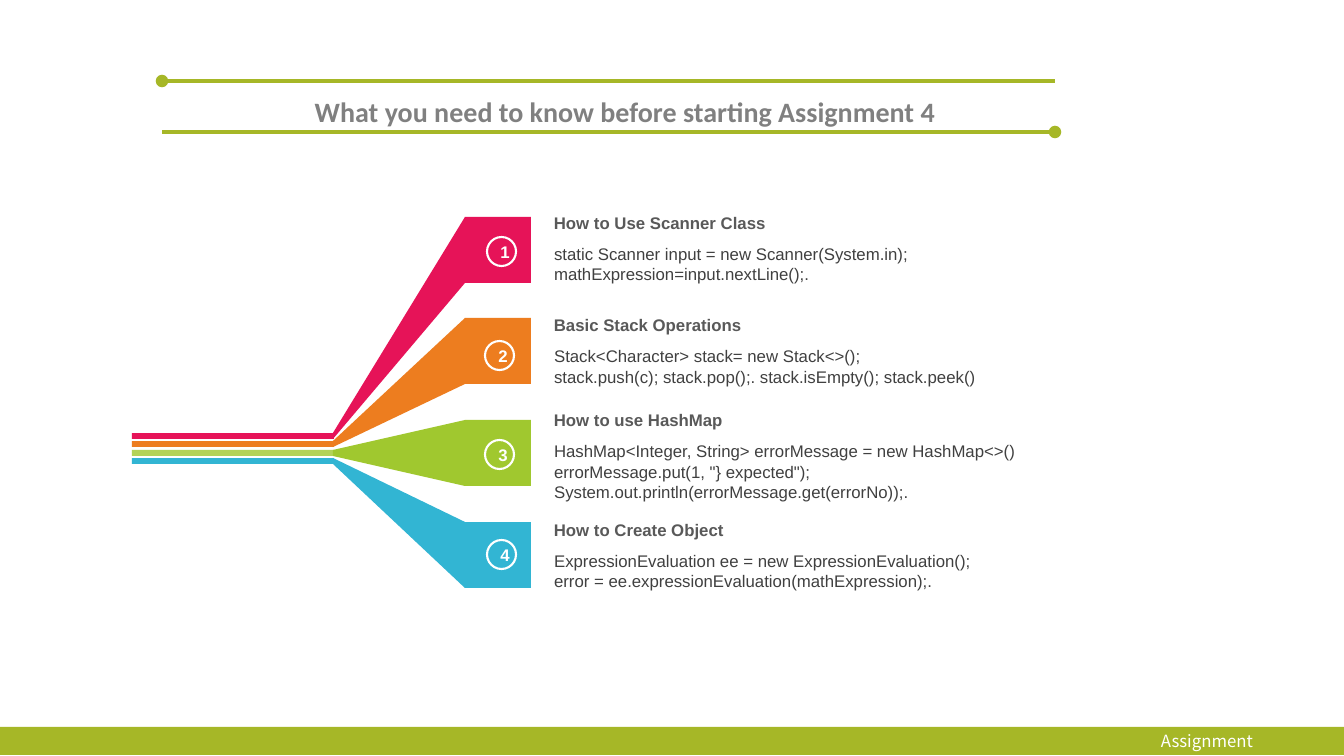
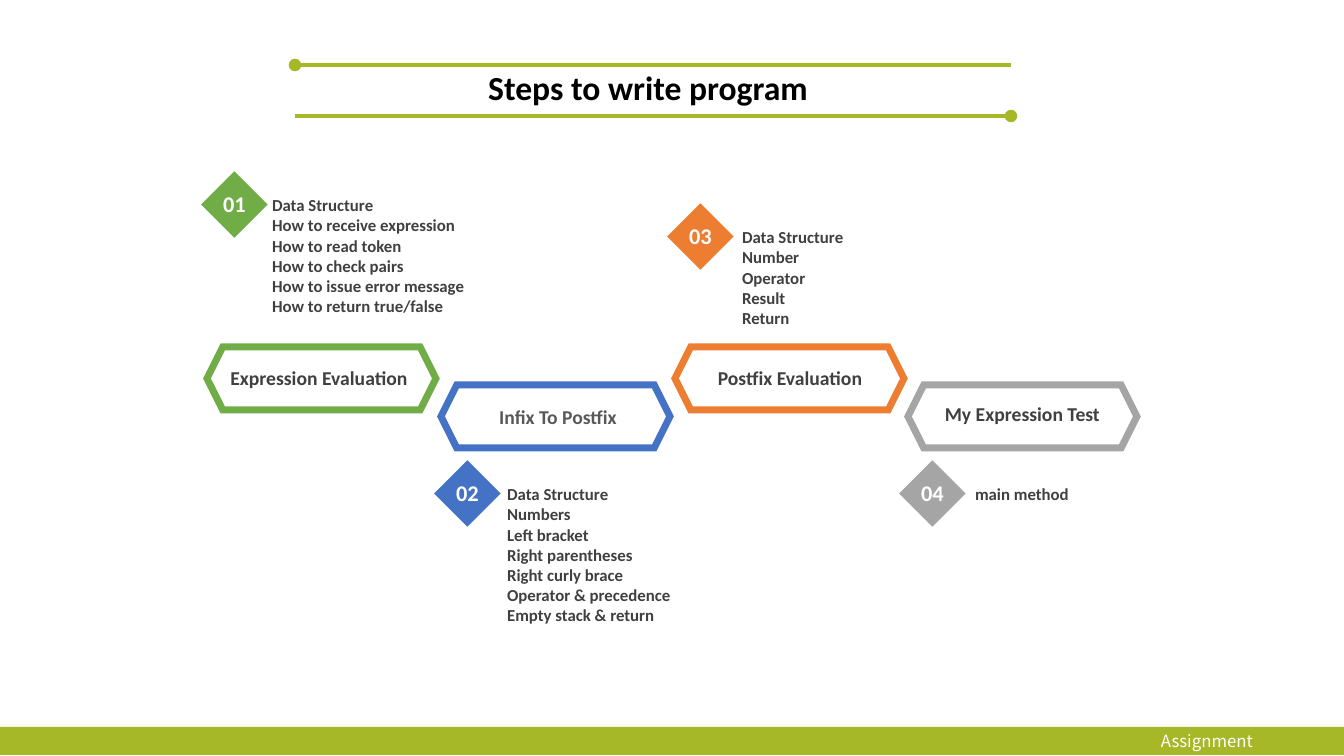
import pptx
import pptx.util
import pptx.dml.color
import pptx.enum.shapes
import pptx.enum.text
import pptx.oxml.ns
from lxml import etree

HUES = {
    "olive": "A6B727", "white": "FFFFFF", "black": "000000",
    "grey": "808080", "dark": "404040", "mid": "595959",
    "pink": "E61358", "amber": "ED7D1F", "lime": "A0C82F", "aqua": "32B5D3",
    "green": "70AD47", "blue": "4472C4", "orange": "ED7D31", "ash": "A5A5A5",
}
KIND = pptx.enum.shapes.MSO_SHAPE
ALIGN = pptx.enum.text.PP_ALIGN
ANCHOR = pptx.enum.text.MSO_ANCHOR
WIDE, HIGH = 1344, 756
SCALE = 914400 / 100.8
qn = pptx.oxml.ns.qn


def px(n):
    return pptx.util.Emu(int(n * SCALE))


def rgb(hue):
    return pptx.dml.color.RGBColor.from_string(HUES[hue])


def font(size, hue, name="Calibri", bold=True):
    return {"size": pptx.util.Pt(size), "name": name, "bold": bold, "hue": hue}


class Deck:
    def __init__(self):
        self.file = pptx.Presentation()
        self.file.slide_width, self.file.slide_height = px(WIDE), px(HIGH)
        self.page = None

    # Slide with band, footer, ruled title
    def start(self, title, style, box, rule, lead=1):
        self.page = self.file.slides.add_slide(self.file.slide_layouts[4])
        self.shape(KIND.RECTANGLE, (0, 727, WIDE, 28), "olive")
        self.label("Assignment", (1151, 726, 113, 30),
                   font(12, "white", "Noto Sans CJK KR", False), wrap=False)
        self.holder(0, title, box, style, ALIGN.CENTER, lead)
        left, right, top = rule
        self.line(right, left, top + 51)
        self.line(left, right, top)

    def words(self, frame, text, style, align=ALIGN.LEFT, lead=1, wrap=True,
              anchor=ANCHOR.TOP):
        frame.text = text
        look = {"word_wrap": wrap, "vertical_anchor": anchor,
                "auto_size": pptx.enum.text.MSO_AUTO_SIZE.NONE}
        for key, value in look.items():
            setattr(frame, key, value)
        gaps = {"alignment": align, "line_spacing": lead,
                "space_before": pptx.util.Pt(0), "space_after": pptx.util.Pt(0)}
        for para in frame.paragraphs:
            for key, value in gaps.items():
                setattr(para, key, value)
            for run in para.runs:
                for key, value in style.items():
                    if key == "hue":
                        run.font.color.rgb = rgb(value)
                    else:
                        setattr(run.font, key, value)

    def holder(self, index, text, box, style, align=ALIGN.LEFT, lead=1):
        item = self.page.placeholders[index]
        for key, value in zip(("left", "top", "width", "height"), box):
            setattr(item, key, px(value))
        self.words(item.text_frame, text, style, align, lead)
        for props in item.element.iter(qn("a:pPr")):
            props.set("marL", "0")
            props.set("indent", "0")
            etree.SubElement(props, qn("a:buNone"))

    def label(self, text, box, style, align=ALIGN.LEFT, wrap=True):
        item = self.page.shapes.add_textbox(*map(px, box))
        self.words(item.text_frame, text, style, align, wrap=wrap)

    def paint(self, item, fill=None, line=None, width=1):
        item.shadow.inherit = False
        if fill:
            item.fill.solid()
            item.fill.fore_color.rgb = rgb(fill)
        else:
            item.fill.background()
        if line:
            item.line.color.rgb = rgb(line)
            item.line.width = pptx.util.Pt(width)
            edge = item.element.spPr.find(qn("a:ln"))
            etree.SubElement(edge, qn("a:miter"), lim="800000")
        else:
            item.line.fill.background()

    def shape(self, kind, box, fill=None, line=None, width=1, turn=0, alpha=100):
        item = self.page.shapes.add_shape(kind, *map(px, box))
        self.paint(item, fill, line, width)
        item.rotation = turn
        if alpha < 100:
            tint = item.element.spPr.find(qn("a:solidFill"))[0]
            etree.SubElement(tint, qn("a:alpha"), val=str(alpha * 1000))
        return item

    def outline(self, points, fill):
        build = self.page.shapes.build_freeform(*points[0], scale=SCALE)
        build.add_line_segments(points[1:], close=True)
        self.paint(build.convert_to_shape(), fill)

    def line(self, start, end, y):
        rule = self.page.shapes.add_connector(
            pptx.enum.shapes.MSO_CONNECTOR.STRAIGHT,
            px(start), px(y), px(end), px(y))
        rule.line.color.rgb = rgb("olive")
        rule.line.width = pptx.util.Pt(3)
        props = rule.element.spPr
        etree.SubElement(props.find(qn("a:ln")), qn("a:headEnd"), type="oval")
        etree.SubElement(props, qn("a:effectLst"))

    # Stripe that fans out into a numbered block
    def branch(self, i, hue, spot, alpha):
        y, top, side = 433 + 17 * i // 2, 217 + 305 * i // 3, 66
        self.shape(KIND.RECTANGLE, (132, y, 202, 6), hue, alpha=alpha)
        self.shape(KIND.RECTANGLE, (465, top, side, side), hue)
        self.outline([(333, y), (465, top), (465, top + side), (333, y + 6)], hue)
        ring = self.shape(KIND.OVAL, (*spot, 29, 29), line="white", width=1.5)
        pads = {"margin_left": 7, "margin_right": 0,
                "margin_top": 0, "margin_bottom": 0}
        for key, value in pads.items():
            setattr(ring.text_frame, key, px(value))
        self.words(ring.text_frame, str(i + 1), font(12, "white", "Arial"),
                   ALIGN.CENTER, anchor=ANCHOR.MIDDLE)

    # Hexagon with its name, numbered diamond and list
    def step(self, i, name, hue, ink, hexa, tag, gem, area, points):
        self.shape(KIND.HEXAGON, (*hexa, 229, 63), "white", hue, 5)
        self.label(name, tag, font(14, ink), ALIGN.CENTER)
        x, y = gem
        self.shape(KIND.RECTANGLE, (x, y, 47, 47), hue, turn=315)
        self.label(f"{i:02}", (x, y + 4, 47, 37), font(16, "white"), ALIGN.CENTER)
        self.holder(i, "\n".join(points), area, font(12, "dark"))


deck = Deck()

# Slide 1: four topics
deck.start("What you need to know before starting Assignment 4",
           font(20, "grey"), (222, 73, 806, 55), (162, 1055, 81), 1.5)
TOPICS = [
    ("How to Use Scanner Class", "pink", (487, 237), 208, 100,
     "static Scanner input = new Scanner(System.in);\n"
     "mathExpression=input.nextLine();."),
    ("Basic Stack Operations", "amber", (485, 341), 310, 100,
     "Stack<Character> stack= new Stack<>();\n"
     "stack.push(c); stack.pop();. stack.isEmpty(); stack.peek()"),
    ("How to use HashMap", "lime", (485, 440), 405, 80,
     "HashMap<Integer, String> errorMessage = new HashMap<>()\v"
     "errorMessage.put(1, \"} expected\");\v"
     "System.out.println(errorMessage.get(errorNo));."),
    ("How to Create Object", "aqua", (487, 540), 515, 100,
     "ExpressionEvaluation ee = new ExpressionEvaluation();\v"
     "error = ee.expressionEvaluation(mathExpression);."),
]
for i, (head, hue, spot, y, alpha, code) in enumerate(TOPICS):
    deck.branch(i, hue, spot, alpha)
    deck.label(head, (544, y, 444, 30), font(12, "mid", "Arial"))
    high = 72 if i == 2 else 50
    deck.holder(i + 1, code, (544, y + 31, 543, high),
                font(12, "dark", "Arial", False))

# Slide 2: four steps
deck.start("Steps to write program", font(24, "black"),
           (290, 62, 716, 50), (295, 1011, 65))
STEPS = [
    ("Expression Evaluation", "green", "dark", (207, 347), (214, 361, 210, 34),
     (211, 181), (262, 190, 246, 132),
     ["Data Structure", "How to receive expression", "How to read token",
      "How to check pairs", "How to issue error message",
      "How to return true/false"]),
    ("Infix To Postfix", "blue", "mid", (441, 385), (468, 400, 180, 34),
     (444, 470), (497, 479, 190, 152),
     ["Data Structure", "Numbers", "Left bracket", "Right parentheses",
      "Right curly brace", "Operator & precedence", "Empty stack & return"]),
    ("Postfix Evaluation", "orange", "dark", (675, 347), (696, 361, 188, 34),
     (677, 213), (732, 222, 155, 112),
     ["Data Structure", "Number", "Operator", "Result", "Return"]),
    ("My Expression Test", "ash", "dark", (908, 385), (919, 397, 207, 34),
     (909, 470), (965, 479, 155, 30), ["main method"]),
]
for i, parts in enumerate(STEPS, 1):
    deck.step(i, *parts)

deck.file.save("out.pptx")
